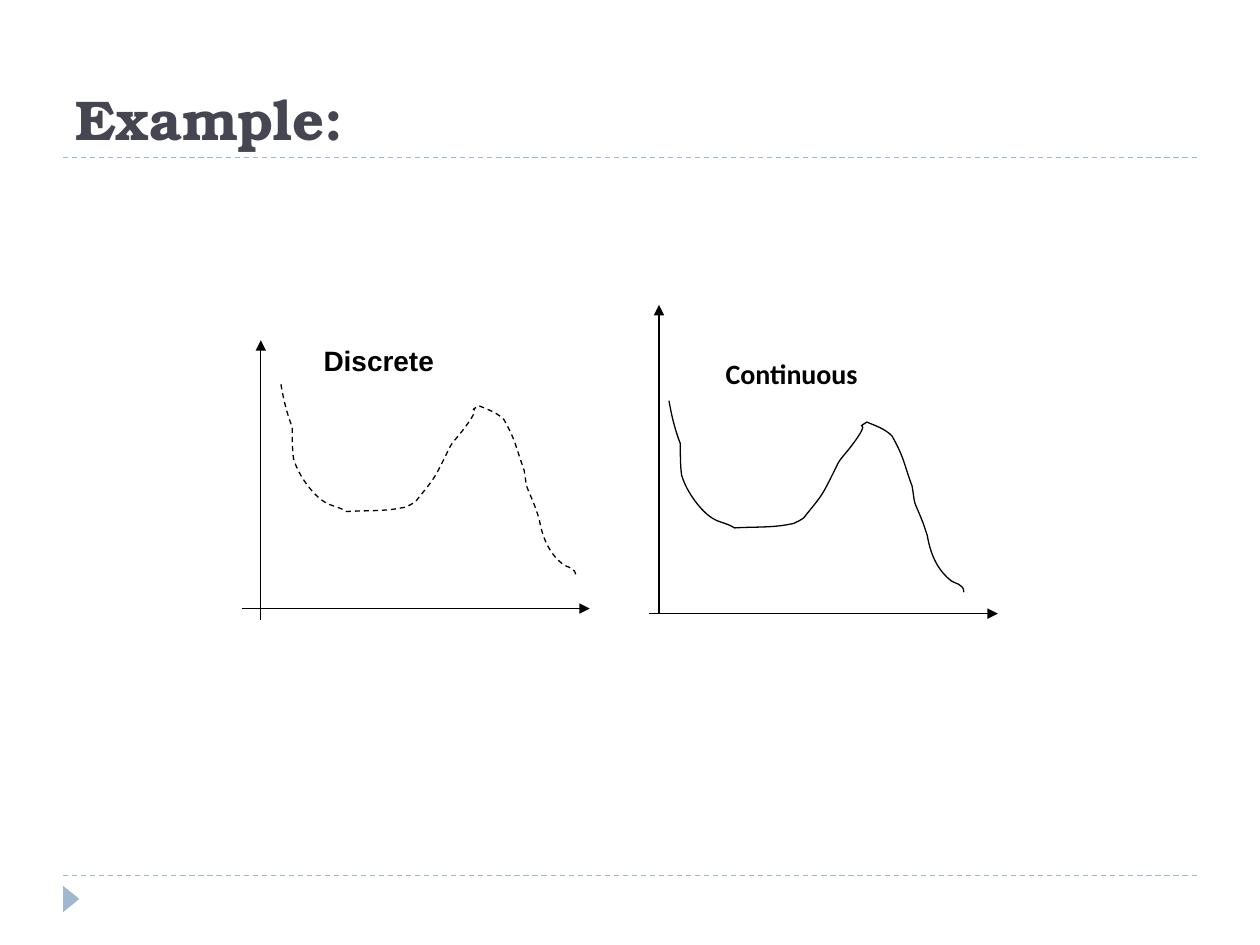
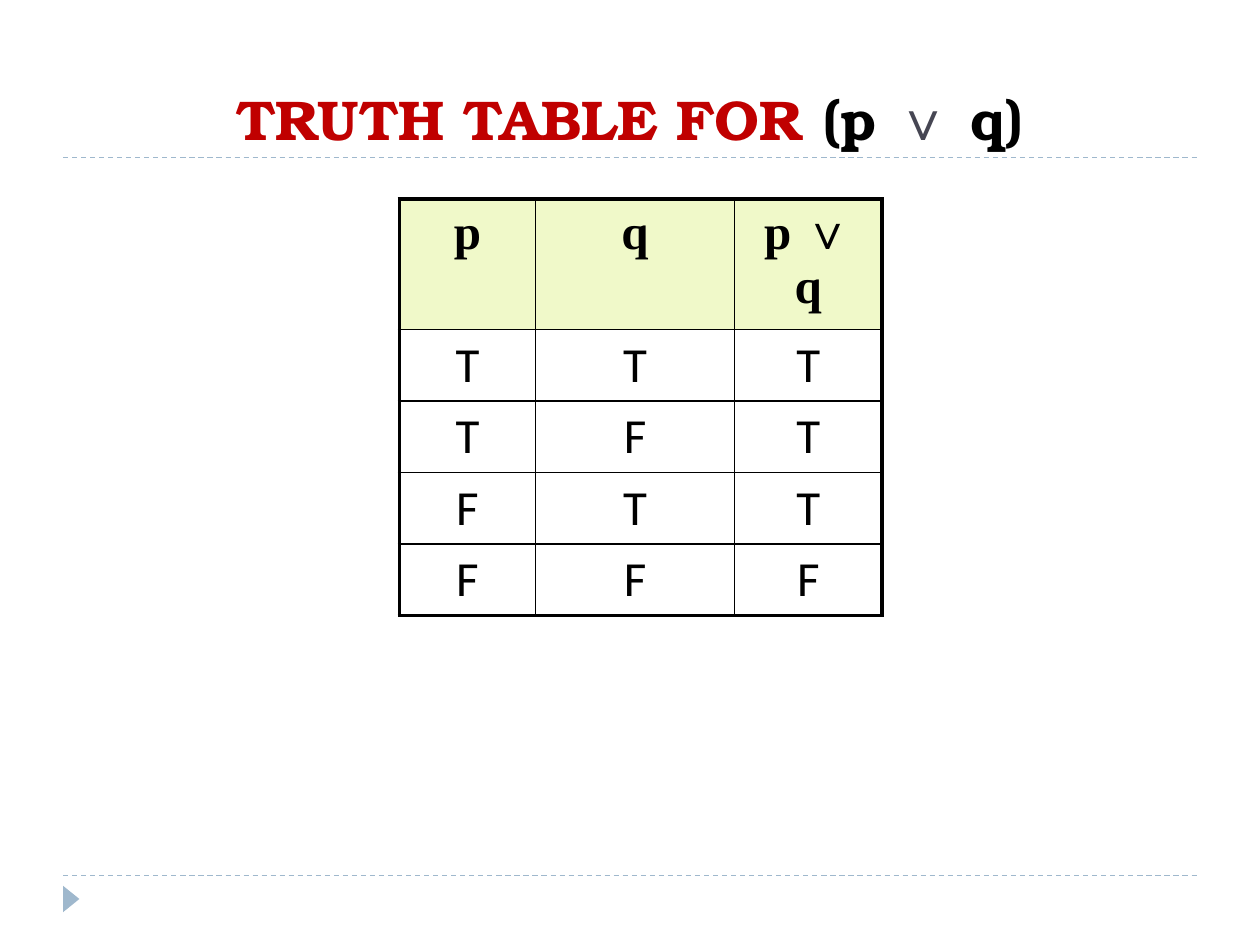
import pptx
import pptx.util
import pptx.dml.color
import pptx.enum.dml
import pptx.enum.shapes
import pptx.enum.text
import pptx.oxml
import pptx.oxml.ns
from lxml import etree

Inches = pptx.util.Inches
Pt = pptx.util.Pt
RGBColor = pptx.dml.color.RGBColor
qn = pptx.oxml.ns.qn
DASH = pptx.enum.dml.MSO_LINE.DASH
CENTER = pptx.enum.text.PP_ALIGN.CENTER
LEFT = pptx.enum.text.PP_ALIGN.LEFT
BOTTOM = pptx.enum.text.MSO_ANCHOR.BOTTOM
TOP = pptx.enum.text.MSO_ANCHOR.TOP

BLACK = RGBColor(0x00, 0x00, 0x00)
SLATE = RGBColor(0x46, 0x46, 0x53)
RED = RGBColor(0xC0, 0x00, 0x00)
BLUE = RGBColor(0x9F, 0xB8, 0xCD)
LIME = RGBColor(0xF0, 0xF9, 0xC9)
TITLE_FONT = "TeX Gyre Bonum"

EXAMPLE_TITLE = [("Example:", SLATE)]
TRUTH_TITLE = [("TRUTH TABLE FOR ", RED), ("(p ", BLACK), ("∨", SLATE), (" q)", BLACK)]

CURVE_BEZIERS = [
    ((0.02, 0.12), (0.05, 0.24), (0.09, 0.34)),
    ((0.09, 0.42), (0.09, 0.52), (0.10, 0.59)),
    ((0.14, 0.73), (0.26, 0.88), (0.34, 0.93)),
    ((0.40, 0.97), (0.46, 0.97), (0.52, 1.01)),
    ((0.67, 1.00), (0.82, 1.01), (0.96, 0.98)),
    ((1.00, 0.98), (1.07, 0.93), (1.07, 0.93)),
    ((1.13, 0.85), (1.20, 0.78), (1.25, 0.68)),
    ((1.38, 0.43), (1.31, 0.53), (1.44, 0.37)),
    ((1.64, 0.11), (1.45, 0.25), (1.57, 0.17)),
    ((1.64, 0.20), (1.71, 0.22), (1.77, 0.28)),
    ((1.87, 0.46), (1.86, 0.49), (1.93, 0.68)),
    ((1.96, 0.87), (1.93, 0.75), (2.02, 0.98)),
    ((2.03, 1.01), (2.05, 1.07), (2.05, 1.07)),
    ((2.08, 1.25), (2.15, 1.36), (2.24, 1.43)),
    ((2.26, 1.45), (2.34, 1.45), (2.34, 1.52)),
]
GRAPHS = [
    {"label": "Continuous", "font": "Calibri", "box": (4.76, 2.68, 2.96, 0.7),
     "margins": (1.0, 0.15), "curve_at": (5.31, 3.18), "dash": None,
     "axes": [((5.15, 4.87), (7.92, 4.87)), ((5.23, 4.87), (5.23, 2.42))]},
    {"label": "Discrete", "font": "Arial", "box": (2.47, 2.68, 1.42, 0.56),
     "margins": (0.1, 0.05), "curve_at": (2.23, 3.05), "dash": DASH,
     "axes": [((1.92, 4.83), (4.68, 4.83)), ((2.07, 4.92), (2.07, 2.7))]},
]

TRUTH_ROWS = [
    ("p", "q", "p ∨ q"),
    ("T", "T", "T"),
    ("T", "F", "T"),
    ("F", "T", "T"),
    ("F", "F", "F"),
]
COLUMN_WIDTHS = (1.08, 1.58, 1.17)
ROW_HEIGHTS = (0.5, 0.52, 0.28, 0.45, 0.39)
TABLE_BOX = (3.17, 1.58, 3.83, 3.28)
OUTER_BORDER, INNER_BORDER = 2.25, 1


def add_run(paragraph, text, font_name, size, color, bold=True):
    run = paragraph.add_run()
    run.text = text
    run.font.name = font_name
    run.font.size = Pt(size)
    run.font.bold = bold
    run.font.color.rgb = color


def add_text(slide, box, runs, font_name, size, align=LEFT, anchor=TOP, margins=(0.1, 0.05)):
    frame = slide.shapes.add_textbox(*map(Inches, box)).text_frame
    frame.word_wrap = True
    frame.vertical_anchor = anchor
    frame.margin_left, frame.margin_top = map(Inches, margins)
    paragraph = frame.paragraphs[0]
    paragraph.alignment = align
    for text, color in runs:
        add_run(paragraph, text, font_name, size, color)


def add_line(slide, start, end, color, dash=None, arrow=False):
    connector = slide.shapes.add_connector(
        pptx.enum.shapes.MSO_CONNECTOR.STRAIGHT, *map(Inches, start + end))
    connector.line.color.rgb = color
    connector.line.width = Pt(0.75)
    connector.line.dash_style = dash
    if arrow:
        tail = etree.SubElement(connector.line._get_or_add_ln(), qn("a:tailEnd"))
        tail.set("type", "triangle")
    etree.SubElement(connector._element.spPr, qn("a:effectLst"))


def add_base_slide(presentation, title, align=LEFT):
    slide = presentation.slides.add_slide(presentation.slide_layouts[6])
    for y in (6.95, 1.25):
        add_line(slide, (0.5, y), (9.5, y), BLUE, DASH)
    marker = slide.shapes.add_shape(
        pptx.enum.shapes.MSO_SHAPE.ISOSCELES_TRIANGLE,
        *map(Inches, (0.46, 7.07, 0.21, 0.13)))
    marker.rotation = 90
    marker.shadow.inherit = False
    marker.fill.solid()
    marker.fill.fore_color.rgb = BLUE
    marker.line.fill.background()
    add_text(slide, (0.5, 0.17, 9, 1.08), title, TITLE_FONT, 32, align, BOTTOM)
    return slide


def add_curve(slide, left, top, dash):
    builder = slide.shapes.build_freeform(Inches(left), Inches(top))
    builder.add_line_segments(
        [(Inches(left + x), Inches(top + y)) for _, _, (x, y) in CURVE_BEZIERS], close=False)
    curve = builder.convert_to_shape()
    segments = list(curve._element.iter(qn("a:lnTo")))
    for segment, bezier in zip(segments, CURVE_BEZIERS):
        cubic = etree.Element(qn("a:cubicBezTo"))
        for x, y in bezier:
            etree.SubElement(cubic, qn("a:pt"), x=str(Inches(x)), y=str(Inches(y)))
        segment.getparent().replace(segment, cubic)
    curve.shadow.inherit = False
    curve.fill.background()
    curve.line.color.rgb = BLACK
    curve.line.width = Pt(0.75)
    curve.line.dash_style = dash


def add_graph(slide, graph):
    add_curve(slide, *graph["curve_at"], graph["dash"])
    for start, end in graph["axes"]:
        add_line(slide, start, end, BLACK, arrow=True)
    add_text(slide, graph["box"], [(graph["label"], BLACK)], graph["font"], 16,
             margins=graph["margins"])


def set_borders(cell, widths):
    properties = cell._tc.get_or_add_tcPr()
    for index, (side, width) in enumerate(widths.items()):
        border = pptx.oxml.parse_xml(
            f'<a:ln{side} {pptx.oxml.ns.nsdecls("a")} w="{Pt(width)}">'
            f'<a:solidFill><a:srgbClr val="{BLACK}"/></a:solidFill></a:ln{side}>')
        properties.insert(index, border)


def add_truth_table(slide):
    table_frame = slide.shapes.add_table(
        len(ROW_HEIGHTS), len(COLUMN_WIDTHS), *map(Inches, TABLE_BOX))
    table = table_frame.table
    for column, width in zip(table.columns, COLUMN_WIDTHS):
        column.width = Inches(width)
    for row, height in zip(table.rows, ROW_HEIGHTS):
        row.height = Inches(height)
    table_frame.height = Inches(TABLE_BOX[3])
    last_row, last_column = len(ROW_HEIGHTS) - 1, len(COLUMN_WIDTHS) - 1
    for r, values in enumerate(TRUTH_ROWS):
        header = r == 0
        for c, value in enumerate(values):
            cell = table.cell(r, c)
            if header:
                cell.fill.solid()
                cell.fill.fore_color.rgb = LIME
            else:
                cell.fill.background()
            edges = {"L": c == 0, "R": c == last_column, "T": header, "B": r == last_row}
            set_borders(cell, {side: OUTER_BORDER if outer else INNER_BORDER
                               for side, outer in edges.items()})
            paragraph = cell.text_frame.paragraphs[0]
            paragraph.alignment = CENTER
            add_run(paragraph, value, "Times New Roman" if header else "Calibri",
                    28, BLACK, header)


def main():
    presentation = pptx.Presentation()
    presentation.slide_width = Inches(10)
    presentation.slide_height = Inches(7.5)
    example_slide = add_base_slide(presentation, EXAMPLE_TITLE)
    for graph in GRAPHS:
        add_graph(example_slide, graph)
    truth_slide = add_base_slide(presentation, TRUTH_TITLE, CENTER)
    add_truth_table(truth_slide)
    presentation.save("out.pptx")


if __name__ == "__main__":
    main()
